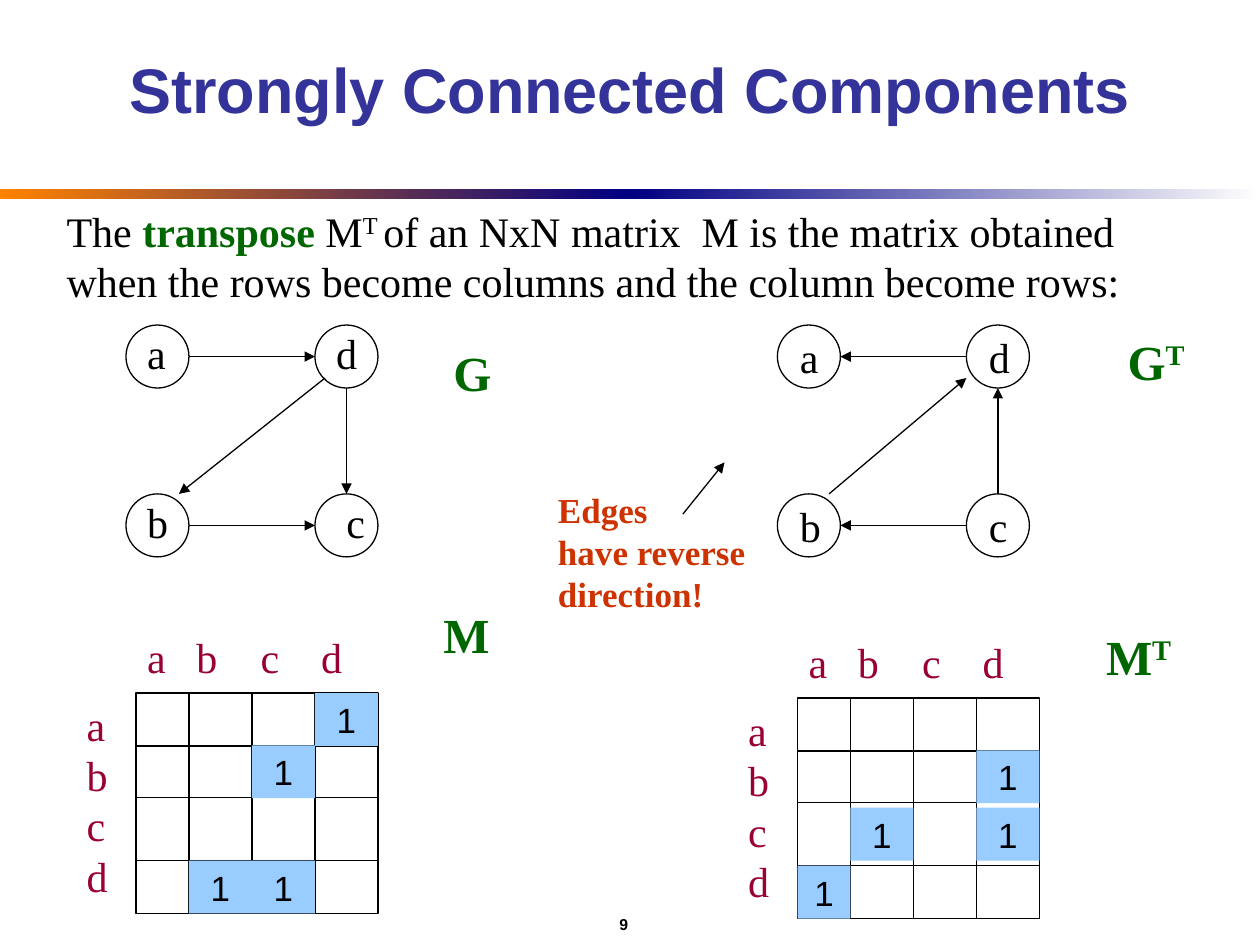
from dataclasses import dataclass
from pptx import Presentation
from pptx.dml.color import RGBColor
from pptx.enum.shapes import MSO_CONNECTOR, MSO_SHAPE
from pptx.enum.text import MSO_ANCHOR, PP_ALIGN
from pptx.oxml.ns import qn
from pptx.util import Inches, Pt
from lxml.etree import SubElement


@dataclass(frozen=True)
class Theme:
    sans: str = "Arial"
    serif: str = "Times New Roman"
    black: str = "000000"
    title: str = "333399"
    green: str = "006600"
    header: str = "990033"
    note: str = "CC3300"
    mark: str = "99CCFF"
    orange: str = "FF8200"
    navy: str = "000082"
    white: str = "FFFFFF"
    title_size: int = 36
    name_size: int = 28
    body_size: int = 24
    note_size: int = 20
    page_size: int = 9
    line: float = 0.75


THEME = Theme()

# Content
TITLE = "Strongly Connected Components"
PAGE = "9"
DEFINITION = [
    [("The ", ""), ("transpose", "key"), (" M", ""), ("T ", "super"),
     ("of an NxN matrix  M is the matrix obtained", "")],
    [("when the rows become columns and the column become rows:", "")],
]
NOTE = "Edges\nhave reverse\ndirection!"
NODES = "abcd"
GRAPHS = [
    {"at": (1, 2.58), "label_shift": (0.07, -0.03), "label_nudge": {"c": 0.08},
     "diagonal": [(1.58, 0.42), (0.42, 1.34)], "reverse": False},
    {"at": (6.17, 2.58), "label_shift": (0.08, 0), "label_nudge": {},
     "diagonal": [(1.5, 0.42), (0.41, 1.34)], "reverse": True},
]
MATRICES = [
    {"at": (1.08, 5.5), "ones": ["ad", "bc", "db", "dc"]},
    {"at": (6.33, 5.54), "ones": ["bd", "cb", "cd", "da"]},
]
NAMES = [  # letter, superscript, box
    ("M", "", (3.42, 4.75, 0.6, 0.57)),
    ("M", "T", (8.68, 4.92, 0.8, 0.57)),
    ("G", "T", (8.85, 2.58, 0.75, 0.57)),
    ("G", "", (3.5, 2.67, 0.55, 0.57)),
]

# Geometry shared by both graphs and both matrices
NODE_SIZE = 0.5
NODE_PLACES = {"a": (0, 0), "d": (1.5, 0), "b": (0, 1.34), "c": (1.5, 1.34)}
STRAIGHT_EDGES = [
    [(0.5, 0.25), (1.5, 0.25)],
    [(0.5, 1.59), (1.5, 1.59)],
    [(1.75, 0.5), (1.75, 1.34)],
]
COLUMN_EDGES = [0, 0.42, 0.92, 1.42, 1.92]
ROW_EDGES = [0, 0.42, 0.83, 1.33, 1.75]
MARK_HEIGHT = 0.42
HEADER_TABS = [0.39, 0.9, 1.38]


def rgb(value):
    return RGBColor.from_string(value)


def box(left, top, width, height):
    return [Inches(n) for n in (left, top, width, height)]


def style(run, size, color, font=THEME.serif, bold=False, raised=False):
    run.font.name, run.font.size, run.font.bold = font, Pt(size), bold
    run.font.color.rgb = rgb(color)
    if raised:
        run._r.get_or_add_rPr().set("baseline", "30000")


def style_all(frame, *args, **kwargs):
    for paragraph in frame.paragraphs:
        for run in paragraph.runs:
            style(run, *args, **kwargs)


def add_text(shapes, place, text, size, color, wrap=False, **kwargs):
    frame = shapes.add_textbox(*box(*place)).text_frame
    frame.word_wrap = wrap
    frame.text = text
    style_all(frame, size, color, **kwargs)
    return frame


def add_outline(shapes, preset, place):
    outline = shapes.add_shape(preset, *box(*place))
    outline.shadow.inherit = False
    outline.fill.background()
    outline.line.color.rgb = rgb(THEME.black)
    outline.line.width = Pt(THEME.line)


def add_line(shapes, start, end, arrow=False):
    line = shapes.add_connector(MSO_CONNECTOR.STRAIGHT,
                                *[Inches(n) for n in (*start, *end)])
    line.line.color.rgb = rgb(THEME.black)
    line.line.width = Pt(THEME.line)
    properties = line._element.spPr
    if arrow:
        SubElement(properties.find(qn("a:ln")), qn("a:tailEnd"), type="triangle")
    SubElement(properties, qn("a:effectLst"))


def add_bar(shapes, left, start, end):
    bar = shapes.add_shape(MSO_SHAPE.RECTANGLE, *box(left, 1.5, 5, 0.08))
    bar.shadow.inherit = False
    bar.line.fill.background()
    bar.fill.gradient()
    bar.fill.gradient_angle = 0
    for stop, color in zip(bar.fill.gradient_stops, (start, end)):
        stop.color.rgb = rgb(color)


def add_graph(shapes, at, label_shift, label_nudge, diagonal, reverse):
    x, y = at
    circles = shapes.add_group_shape().shapes
    for node, (dx, dy) in NODE_PLACES.items():
        add_outline(circles, MSO_SHAPE.OVAL, (x + dx, y + dy, NODE_SIZE, NODE_SIZE))
        label_x = x + dx + label_shift[0] + label_nudge.get(node, 0)
        add_text(shapes, (label_x, y + dy + label_shift[1], 0.36, 0.5), node,
                 THEME.body_size, THEME.black)
    for edge in [*STRAIGHT_EDGES, diagonal]:
        start, end = [(x + dx, y + dy) for dx, dy in edge]
        if reverse:
            start, end = end, start
        add_line(shapes, start, end, arrow=True)


def add_matrix(shapes, at, ones):
    x, y = at
    width, height = COLUMN_EDGES[-1], ROW_EDGES[-1]
    # Grid
    grid = shapes.add_group_shape().shapes
    add_outline(grid, MSO_SHAPE.RECTANGLE, (x, y, width, height))
    for dx in COLUMN_EDGES[1:-1]:
        add_line(grid, (x + dx, y), (x + dx, y + height))
    for dy in ROW_EDGES[1:-1]:
        add_line(grid, (x, y + dy), (x + width, y + dy))
    # Column and row headers
    header = add_text(grid, (x - 0.01, y - 0.54, 2, 0.5), "\t".join(NODES),
                      THEME.body_size, THEME.header, wrap=True)
    tabs = SubElement(header.paragraphs[0]._p.get_or_add_pPr(), qn("a:tabLst"))
    for stop in HEADER_TABS:
        SubElement(tabs, qn("a:tab"), pos=str(Inches(stop)), algn="l")
    add_text(grid, (x - 0.49, y, 0.36, 1.7), "\n".join(NODES),
             THEME.body_size, THEME.header)
    # Ones, centred in their rows
    for row, column in ones:
        r, c = NODES.index(row), NODES.index(column)
        middle = (ROW_EDGES[r] + ROW_EDGES[r + 1]) / 2
        mark = shapes.add_shape(MSO_SHAPE.RECTANGLE, *box(
            x + COLUMN_EDGES[c], y + middle - MARK_HEIGHT / 2,
            COLUMN_EDGES[c + 1] - COLUMN_EDGES[c], MARK_HEIGHT))
        mark.shadow.inherit = False
        mark.fill.solid()
        mark.fill.fore_color.rgb = rgb(THEME.mark)
        mark.line.fill.background()
        mark.text_frame.text = "1"
        mark.text_frame.word_wrap = False
        mark.text_frame.vertical_anchor = MSO_ANCHOR.MIDDLE
        mark.text_frame.paragraphs[0].alignment = PP_ALIGN.CENTER
        style_all(mark.text_frame, THEME.note_size, THEME.black, font=THEME.sans)


def main():
    deck = Presentation()
    deck.slide_width, deck.slide_height = Inches(10), Inches(7.5)
    slide = deck.slides.add_slide(deck.slide_layouts[5])
    shapes = slide.shapes

    # Title, divider and page number
    title = shapes.title
    title.left, title.top, title.width, title.height = box(0.75, 0.08, 8.5, 1.25)
    title.text_frame.text = TITLE
    title.text_frame.vertical_anchor = MSO_ANCHOR.MIDDLE
    title.text_frame.paragraphs[0].alignment = PP_ALIGN.CENTER
    style_all(title.text_frame, THEME.title_size, THEME.title, font=THEME.sans, bold=True)
    add_bar(shapes, 0, THEME.orange, THEME.navy)
    add_bar(shapes, 5, THEME.navy, THEME.white)
    page = add_text(shapes, (0.5, 7.17, 8.9, 0.33), PAGE, THEME.page_size,
                    THEME.black, wrap=True, font=THEME.sans, bold=True)
    page.vertical_anchor = MSO_ANCHOR.MIDDLE
    page.paragraphs[0].alignment = PP_ALIGN.CENTER

    # Definition
    definition = add_text(shapes, (0.43, 1.58, 8.6, 0.9), "",
                          THEME.body_size, THEME.black)
    for i, line in enumerate(DEFINITION):
        paragraph = definition.add_paragraph() if i else definition.paragraphs[0]
        for text, role in line:
            run = paragraph.add_run()
            run.text = text
            style(run, THEME.body_size, THEME.green if role == "key" else THEME.black,
                  bold=role == "key", raised=role == "super")

    # Graphs and their matrices
    for graph in GRAPHS:
        add_graph(shapes, **graph)
    for matrix in MATRICES:
        add_matrix(shapes, **matrix)
    for letter, power, place in NAMES:
        name = add_text(shapes, place, letter, THEME.name_size, THEME.green, bold=True)
        if power:
            run = name.paragraphs[0].add_run()
            run.text = power
            style(run, THEME.name_size, THEME.green, bold=True, raised=True)

    # Remark on the reversed edges
    add_line(shapes, (5.42, 4.08), (5.75, 3.67), arrow=True)
    add_text(shapes, (4.33, 3.83, 1.69, 1.1), NOTE, THEME.note_size, THEME.note, bold=True)

    deck.save("out.pptx")


if __name__ == "__main__":
    main()
